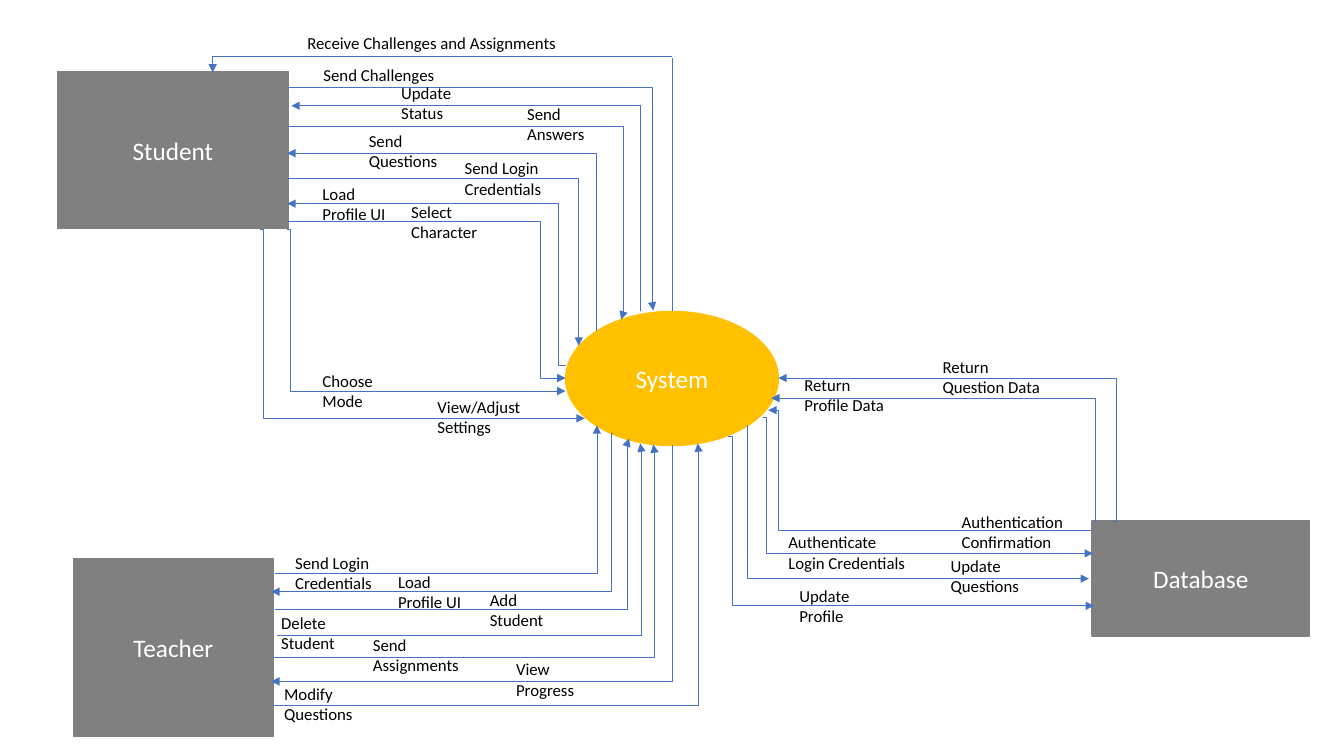
from lxml.etree import SubElement
from pptx import Presentation
from pptx.dml.color import RGBColor
from pptx.enum.shapes import MSO_CONNECTOR, MSO_SHAPE
from pptx.enum.text import MSO_ANCHOR, MSO_AUTO_SIZE, PP_ALIGN
from pptx.oxml.ns import qn
from pptx.util import Inches, Pt

GRID = Inches(0.01)
FONT = "Calibri"
GRAY, AMBER, BLUE = "808080", "FFC000", "4472C4"
WHITE, BLACK = "FFFFFF", "000000"

ENTITIES = [
    ("System", MSO_SHAPE.OVAL, AMBER, (561, 309, 211, 133)),
    ("Student", MSO_SHAPE.RECTANGLE, GRAY, (57, 71, 229, 156)),
    ("Teacher", MSO_SHAPE.RECTANGLE, GRAY, (73, 554, 198, 177)),
    ("Database", MSO_SHAPE.RECTANGLE, GRAY, (1083, 517, 216, 114)),
]

# label, (left, top, width, lines), start, column of the turn, end
STUDENT_FLOWS = [
    ("Receive Challenges and Assignments", (295, 28, 274, 1), (667, 56), 211, (211, 72)),
    ("Send Challenges", (311, 59, 136, 1), (287, 87), 647, (648, 308)),
    ("Update\nStatus", (388, 77, 136, 2), (635, 309), 635, (289, 105)),
    ("Send\nAnswers", (513, 98, 136, 2), (287, 125), 618, (616, 317)),
    ("Send\nQuestions", (356, 125, 136, 2), (592, 328), 592, (285, 152)),
    ("Send Login Credentials", (451, 152, 136, 2), (285, 177), 574, (574, 343)),
    ("Load Profile UI", (310, 177, 87, 2), (561, 363), 554, (285, 202)),
    ("Select\nCharacter", (398, 195, 136, 2), (285, 220), 536, (561, 375)),
    ("Choose\nMode", (310, 363, 136, 2), (285, 228), 288, (561, 388)),
    ("View/Adjust\nSettings", (424, 389, 136, 2), (258, 228), 261, (580, 415)),
]
TEACHER_FLOWS = [
    ("Send Login Credentials", (283, 543, 136, 2), (273, 569), 592, (592, 422)),
    ("Load Profile UI", (385, 562, 87, 2), (608, 430), 606, (269, 587)),
    ("Add\nStudent", (476, 580, 87, 2), (273, 605), 622, (624, 435)),
    ("Delete\nStudent", (269, 603, 87, 2), (275, 630), 636, (635, 440)),
    ("Send\nAssignments", (360, 625, 116, 2), (272, 652), 649, (648, 441)),
    ("View\nProgress", (502, 649, 116, 2), (667, 441), 667, (269, 676)),
    ("Modify\nQuestions", (272, 673, 116, 2), (272, 700), 693, (692, 440)),
]
DATABASE_FLOWS = [
    ("Return\nQuestion Data", (925, 349, 136, 2), (1103, 517), 1107, (772, 375)),
    ("Return\nProfile Data", (788, 367, 136, 2), (1085, 517), 1087, (765, 395)),
    ("Authentication\nConfirmation", (944, 503, 136, 2), (1082, 526), 772, (762, 407)),
    ("Authenticate\nLogin Credentials", (772, 523, 147, 2), (757, 414), 760, (1084, 549)),
    ("Update\nQuestions", (933, 546, 136, 2), (741, 422), 741, (1080, 574)),
    ("Update\nProfile", (783, 576, 136, 2), (722, 433), 726, (1085, 601)),
]


def color(value):
    return RGBColor.from_string(value)


def on_grid(*cells):
    return [cell * GRID for cell in cells]


def write(text_frame, text, size, text_color, alignment):
    text_frame.word_wrap = True
    text_frame.text = text
    for paragraph in text_frame.paragraphs:
        paragraph.alignment = alignment
        paragraph.font.name = FONT
        paragraph.font.size = Pt(size)
        paragraph.font.color.rgb = color(text_color)


def add_entity(slide, name, kind, fill, box):
    shape = slide.shapes.add_shape(kind, *on_grid(*box))
    shape.shadow.inherit = False
    shape.fill.solid()
    shape.fill.fore_color.rgb = color(fill)
    shape.line.color.rgb = color(fill)
    shape.line.width = Pt(1)
    shape.text_frame.vertical_anchor = MSO_ANCHOR.MIDDLE
    write(shape.text_frame, name, 18, WHITE, PP_ALIGN.CENTER)


def add_label(slide, text, left, top, width, lines):
    label = slide.shapes.add_textbox(*on_grid(left, top, width, 10 + 20 * lines))
    label.text_frame.auto_size = MSO_AUTO_SIZE.SHAPE_TO_FIT_TEXT
    write(label.text_frame, text, 12, BLACK, PP_ALIGN.LEFT)


def add_line(slide, kind, start, end):
    connector = slide.shapes.add_connector(kind, *on_grid(*start, *end))
    connector.line.color.rgb = color(BLUE)
    connector.line.width = Pt(0.5)
    SubElement(connector.element.spPr, qn("a:effectLst"))
    return connector


def add_arrow(slide, start, turn, end):
    connector = add_line(slide, MSO_CONNECTOR.ELBOW, start, end)
    properties = connector.element.spPr
    SubElement(properties.find(qn("a:ln")), qn("a:tailEnd"), type="triangle")
    geometry = properties.find(qn("a:prstGeom"))
    if turn == end[0]:
        geometry.set("prst", "bentConnector2")
        return
    share = round(100000 * (turn - start[0]) / (end[0] - start[0]))
    adjustments = geometry.find(qn("a:avLst"))
    if adjustments is None:
        adjustments = SubElement(geometry, qn("a:avLst"))
    SubElement(adjustments, qn("a:gd"), name="adj1", fmla=f"val {share}")


def main():
    presentation = Presentation()
    presentation.slide_width = Inches(13.33)
    presentation.slide_height = Inches(7.5)
    slide = presentation.slides.add_slide(presentation.slide_layouts[6])
    for entity in ENTITIES:
        add_entity(slide, *entity)
    for label, box, start, turn, end in STUDENT_FLOWS + TEACHER_FLOWS + DATABASE_FLOWS:
        add_arrow(slide, start, turn, end)
        add_label(slide, label, *box)
    add_line(slide, MSO_CONNECTOR.STRAIGHT, (667, 58), (667, 309))
    presentation.save("out.pptx")


main()
